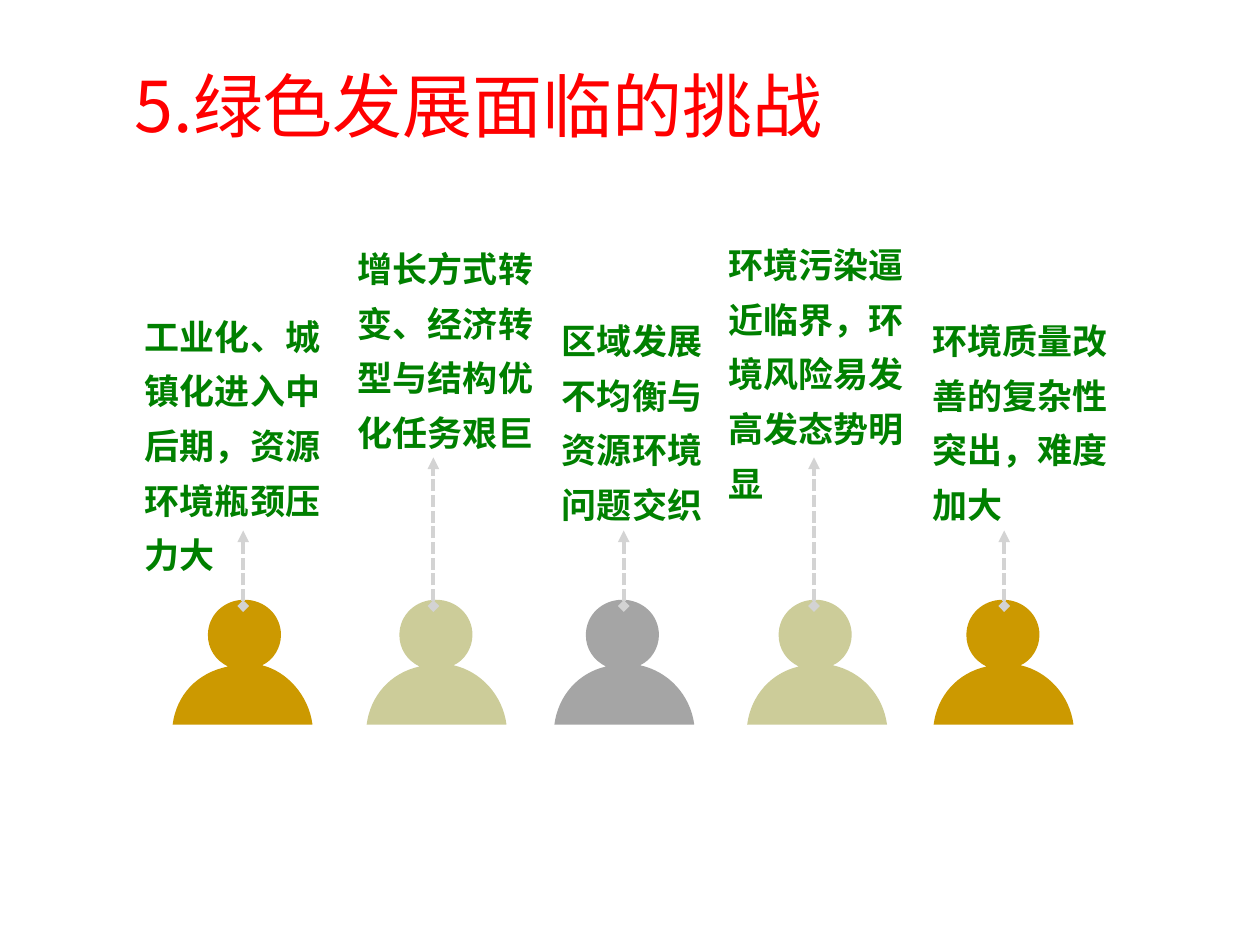
from dataclasses import dataclass

from lxml.etree import SubElement
from pptx import Presentation
from pptx.dml.color import RGBColor
from pptx.enum.dml import MSO_LINE
from pptx.enum.shapes import MSO_CONNECTOR as Connector
from pptx.enum.text import MSO_ANCHOR as Anchor, MSO_AUTO_SIZE as AutoSize, PP_ALIGN as Align
from pptx.oxml.ns import qn
from pptx.shapes.autoshape import Shape
from pptx.slide import Slide
from pptx.text.text import TextFrame
from pptx.util import Inches, Pt

COLORS = {
    "title": "FF0000",
    "label": "008000",
    "arrow": "D3D3D3",
    "gold": "CC9900",
    "sand": "CCCC99",
    "gray": "A5A5A5",
}
CHINESE_FONT = "Noto Sans CJK SC"

FIRST_ARROW_X, ARROW_STEP = 1.93, 1.51
ARROW_BOTTOM = 4.81
PERSON_TOP = 4.76

# Bezier control points in inches, three to a curve. The head is measured from
# its middle, the shoulders from the person's left edge.
HEAD_TOP = (0, 0)
HEAD_RIGHT = [(0.16, 0), (0.29, 0.12), (0.29, 0.28), (0.29, 0.38), (0.23, 0.48), (0.14, 0.52)]
HEAD_LEFT = [(-0.23, 0.48), (-0.29, 0.39), (-0.29, 0.28), (-0.29, 0.12), (-0.16, 0), HEAD_TOP]
RIGHT_SHOULDER = [(0.91, 0.57), (1.08, 0.76), (1.11, 0.99)]
LEFT_HEM = (0, 0.99)
LEFT_SHOULDER = [(0.03, 0.76), (0.19, 0.58)]
LEFT_NECK = (-0.13, 0.53)
HEM_SEGMENT = len(HEAD_RIGHT + RIGHT_SHOULDER)


@dataclass(frozen=True)
class Challenge:
    text: str
    color: str
    person_left: float
    head_x: float
    arrow_top: float
    label_left: float
    label_top: float
    label_width: float
    label_height: float = 1.37


CHALLENGES = [
    Challenge("工业化、城镇化进入中后期，资源环境瓶颈压力大", "gold", 1.37, 1.94, 4.21, 1.15, 3.2, 1.45),
    Challenge("增长方式转变、经济转型与结构优化任务艰巨", "sand", 2.91, 3.46, 3.63, 2.84, 2.22, 1.46, 1.38),
    Challenge("区域发展不均衡与资源环境问题交织", "gray", 4.4, 4.94, 4.21, 4.46, 2.8, 1.31),
    Challenge("环境污染逼近临界，环境风险易发高发态势明显", "sand", 5.93, 6.47, 3.63, 5.78, 2.62, 1.46, 1.38),
    Challenge("环境质量改善的复杂性突出，难度加大", "gold", 7.41, 7.96, 4.21, 7.4, 2.8, 1.45),
]


def rgb(name: str) -> RGBColor:
    return RGBColor.from_string(COLORS[name])


def format_run(frame: TextFrame, font_name: str, size: int, color: str, bold: bool) -> None:
    run = frame.paragraphs[0].runs[0]
    run.font.name = font_name
    run.font.size = Pt(size)
    run.font.bold = bold
    run.font.color.rgb = rgb(color)
    SubElement(run.font._element, qn("a:ea"), typeface=CHINESE_FONT)


def add_title(slide: Slide, text: str) -> None:
    title = slide.shapes.title
    title.left, title.top = Inches(0.97), Inches(0.45)
    title.width, title.height = Inches(8.04), Inches(0.77)
    frame = title.text_frame
    frame.text = text
    frame.auto_size = AutoSize.NONE
    frame.vertical_anchor = Anchor.TOP
    frame.paragraphs[0].alignment = Align.LEFT
    format_run(frame, CHINESE_FONT, 40, "title", False)


def round_outline(person: Shape) -> None:
    """Merge each three straight segments into one Bezier curve, except the hem."""
    segments = list(person._element.iter(qn("a:lnTo")))
    del segments[HEM_SEGMENT]
    for start in range(0, len(segments), 3):
        group = segments[start:start + 3]
        curve = group[0].makeelement(qn("a:cubicBezTo"))
        group[0].addprevious(curve)
        for segment in group:
            curve.append(segment[0])
            segment.getparent().remove(segment)


def add_person(slide: Slide, challenge: Challenge) -> None:
    def place(points: list, left: float) -> list:
        return [(Inches(left + x), Inches(PERSON_TOP + y)) for x, y in points]

    left, head_x = challenge.person_left, challenge.head_x
    start, *outline = (
        place([HEAD_TOP, *HEAD_RIGHT], head_x)
        + place([*RIGHT_SHOULDER, LEFT_HEM, *LEFT_SHOULDER], left)
        + place([LEFT_NECK, *HEAD_LEFT], head_x)
    )
    builder = slide.shapes.build_freeform(*start)
    builder.add_line_segments(outline, close=True)
    person = builder.convert_to_shape()
    round_outline(person)
    person.shadow.inherit = False
    person.fill.solid()
    person.fill.fore_color.rgb = rgb(challenge.color)
    person.line.fill.background()


def add_arrow(slide: Slide, x: float, top: float) -> None:
    arrow = slide.shapes.add_connector(
        Connector.STRAIGHT, Inches(x), Inches(ARROW_BOTTOM), Inches(x), Inches(top)
    )
    arrow.line.color.rgb = rgb("arrow")
    arrow.line.width = Pt(2.25)
    arrow.line.dash_style = MSO_LINE.SQUARE_DOT
    properties = arrow._element.spPr
    line = properties.find(qn("a:ln"))
    SubElement(line, qn("a:headEnd"), type="diamond")
    SubElement(line, qn("a:tailEnd"), type="triangle")
    SubElement(properties, qn("a:effectLst"))


def add_label(slide: Slide, challenge: Challenge) -> None:
    box = slide.shapes.add_textbox(
        Inches(challenge.label_left), Inches(challenge.label_top),
        Inches(challenge.label_width), Inches(challenge.label_height),
    )
    frame = box.text_frame
    frame.text = challenge.text
    frame.word_wrap = True
    frame.vertical_anchor = Anchor.BOTTOM
    frame.margin_left = frame.margin_right = frame.margin_top = frame.margin_bottom = 0
    frame.paragraphs[0].line_spacing = 1.3
    format_run(frame, "Calibri", 20, "label", True)


def main() -> None:
    presentation = Presentation()
    presentation.slide_width, presentation.slide_height = Inches(10), Inches(7.5)
    slide = presentation.slides.add_slide(presentation.slide_layouts.get_by_name("Title Only"))
    add_title(slide, "5.绿色发展面临的挑战")
    for index, challenge in enumerate(CHALLENGES):
        add_person(slide, challenge)
        add_arrow(slide, FIRST_ARROW_X + index * ARROW_STEP, challenge.arrow_top)
        add_label(slide, challenge)
    presentation.save("out.pptx")


if __name__ == "__main__":
    main()
